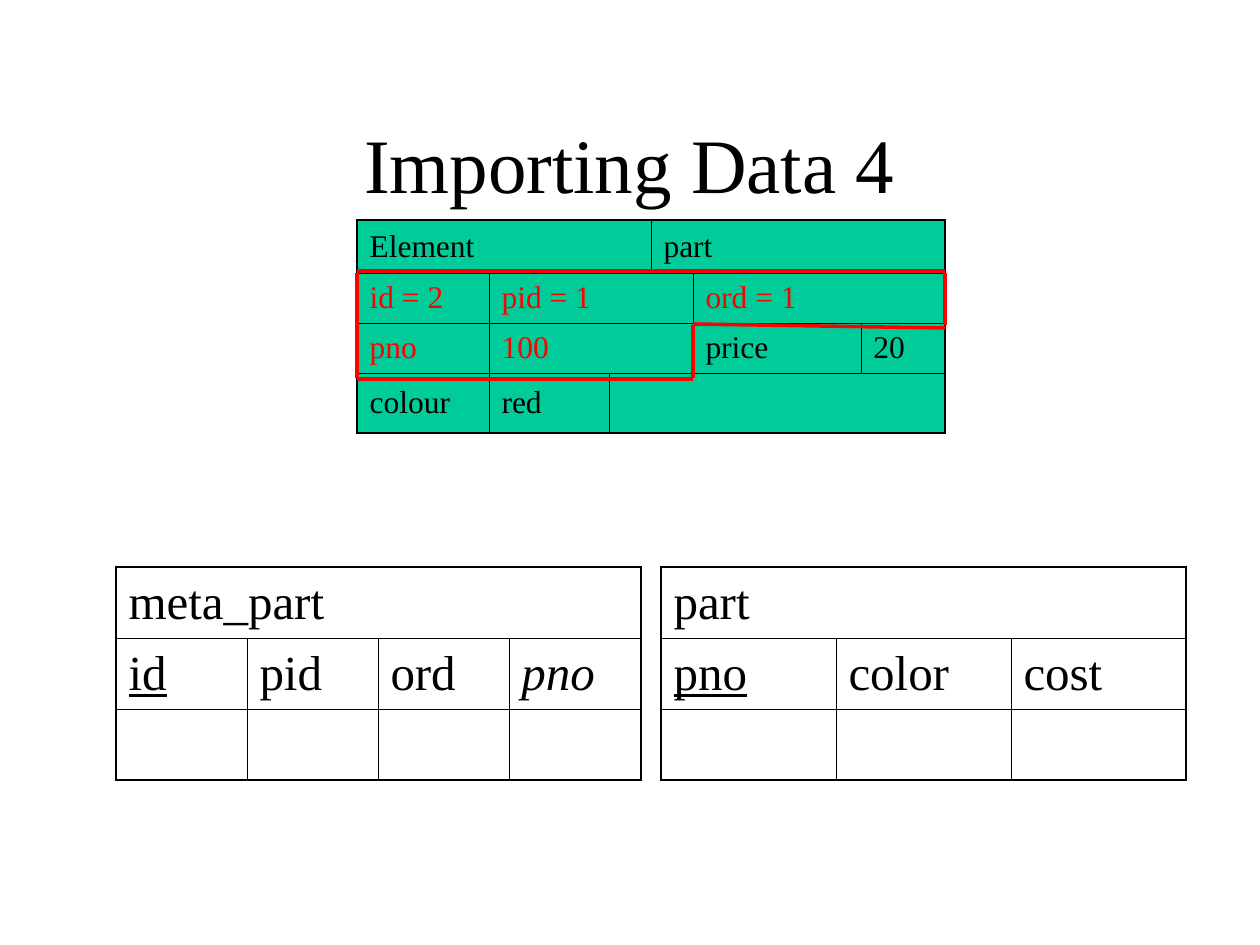
"""Build the slide on importing data: an element table above two part tables."""
from dataclasses import dataclass

from lxml.etree import SubElement as Sub
from pptx import Presentation
from pptx.dml.color import RGBColor as Rgb
from pptx.enum.shapes import MSO_CONNECTOR as Link
from pptx.enum.text import MSO_ANCHOR as Anchor, PP_ALIGN as Align
from pptx.oxml.ns import qn
from pptx.slide import Slide
from pptx.table import _Cell as TabCell
from pptx.text.text import _Paragraph as Para
from pptx.util import Emu, Pt

SCALE = 914400 / 126
FACE = "Times New Roman"
HUES = {"ink": "000000", "mark": "FF0000", "green": "00CC99"}
THIN, THICK = 0.45, 1.08


@dataclass
class Item:
    text: str = ""
    span: int = 1
    hue: str = "ink"
    under: bool = False
    slant: bool = False


@dataclass
class Grid:
    left: int
    top: int
    cols: list[int]
    rows: list[int]
    size: int
    items: list[list[Item]]
    fill: str = ""


ELEMENT = Grid(357, 220, [132, 120, 42, 42, 168, 84], [53, 50, 50, 60], 18, [
    [Item("Element", 3), Item("part", 3)],
    [Item("id = 2", hue="mark"), Item("pid = 1", 3, "mark"), Item("ord = 1", 2, "mark")],
    [Item("pno", hue="mark"), Item("100", 3, "mark"), Item("price"), Item("20")],
    [Item("colour"), Item("red"), Item(span=4)],
], "green")
META = Grid(116, 567, [131, 131, 131, 132], [71] * 3, 28, [
    [Item("meta_part", 4)],
    [Item("id", under=True), Item("pid"), Item("ord"), Item("pno", slant=True)],
    [Item() for _ in range(4)],
])
PART = Grid(661, 567, [175] * 3, [71] * 3, 28, [
    [Item("part", 3)],
    [Item("pno", under=True), Item("color"), Item("cost")],
    [Item() for _ in range(3)],
])
OUTLINE = [
    (693, 379, 357, 379), (357, 271, 945, 271), (357, 273, 357, 378),
    (693, 378, 693, 325), (945, 325, 945, 273), (693, 324, 945, 328),
]


def px(num: int) -> Emu:
    """Turn pixels into EMU."""
    return Emu(round(num * SCALE))


def style(para: Para, size: int, hue: str = "ink") -> None:
    """Set face, size and colour of a paragraph."""
    para.font.name = FACE
    para.font.size = Pt(size)
    para.font.color.rgb = Rgb.from_string(HUES[hue])


def edge(cell: TabCell, outer: dict[str, bool]) -> None:
    """Give a cell its four borders, thick on the outside."""
    props = cell._tc.get_or_add_tcPr()
    for side, thick in outer.items():
        line = Sub(props, qn(f"a:ln{side}"), w=str(Pt(THICK if thick else THIN)))
        Sub(Sub(line, qn("a:solidFill")), qn("a:srgbClr"), val=HUES["ink"])


def draw_grid(slide: Slide, grid: Grid) -> None:
    """Draw a table with its merged cells."""
    wide, high = len(grid.cols), len(grid.rows)
    table = slide.shapes.add_table(
        high, wide, px(grid.left), px(grid.top), px(sum(grid.cols)), px(sum(grid.rows))).table
    table.first_row = table.horz_banding = False
    for col, num in zip(table.columns, grid.cols):
        col.width = px(num)
    for row, num in zip(table.rows, grid.rows):
        row.height = px(num)
    for y, items in enumerate(grid.items):
        x = 0
        for item in items:
            end = x + item.span
            outer = {"L": x == 0, "R": end == wide, "T": y == 0, "B": y == high - 1}
            for part in range(x, end):
                cell = table.cell(y, part)
                edge(cell, outer)
                if grid.fill:
                    cell.fill.solid()
                    cell.fill.fore_color.rgb = Rgb.from_string(HUES[grid.fill])
                else:
                    cell.fill.background()
            head = table.cell(y, x)
            if item.span > 1:
                head.merge(table.cell(y, end - 1))
            head.vertical_anchor = Anchor.MIDDLE
            if item.text:
                para = head.text_frame.paragraphs[0]
                para.text = item.text
                style(para, grid.size, item.hue)
                para.font.underline = item.under
                para.font.italic = item.slant
            x = end


def draw_lines(slide: Slide) -> None:
    """Draw the red outline around the chosen cells."""
    group = slide.shapes.add_group_shape()
    for ends in OUTLINE:
        line = group.shapes.add_connector(Link.STRAIGHT, *map(px, ends))
        line.line.color.rgb = Rgb.from_string(HUES["mark"])
        line.line.width = Pt(2)
        Sub(line._element.spPr, qn("a:effectLst"))


def draw_title(slide: Slide) -> None:
    """Place and fill the title."""
    title = slide.shapes.title
    title.left, title.top, title.width, title.height = map(px, (94, 84, 1071, 158))
    frame = title.text_frame
    frame.text = "Importing Data 4"
    frame.vertical_anchor = Anchor.MIDDLE
    para = frame.paragraphs[0]
    para.alignment = Align.CENTER
    style(para, 44)


def main() -> None:
    """Build and save the deck."""
    deck = Presentation()
    deck.slide_width, deck.slide_height = px(1260), px(945)
    slide = deck.slides.add_slide(deck.slide_layouts[5])
    draw_title(slide)
    draw_grid(slide, ELEMENT)
    draw_lines(slide)
    for grid in (META, PART):
        draw_grid(slide, grid)
    deck.save("out.pptx")


if __name__ == "__main__":
    main()
